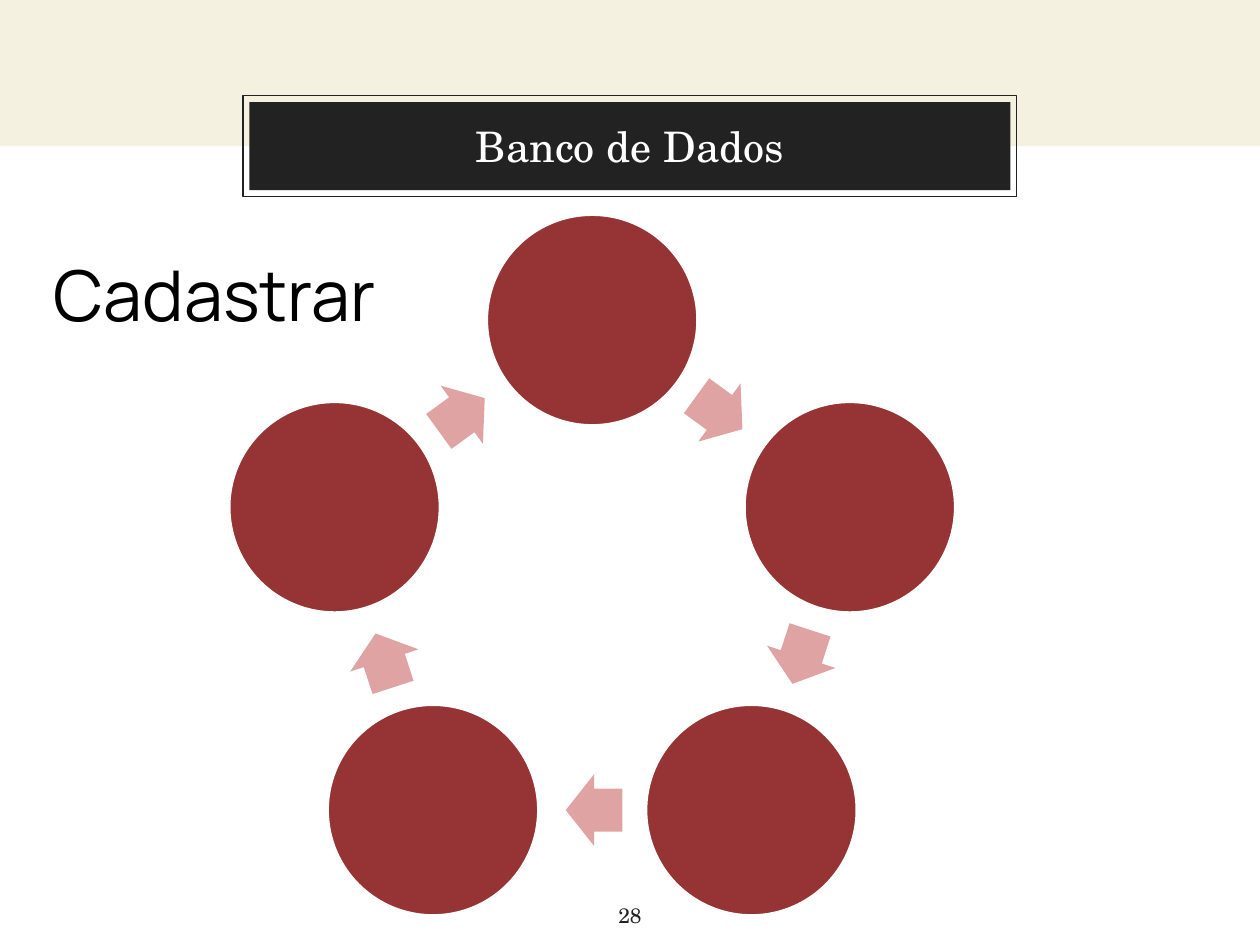
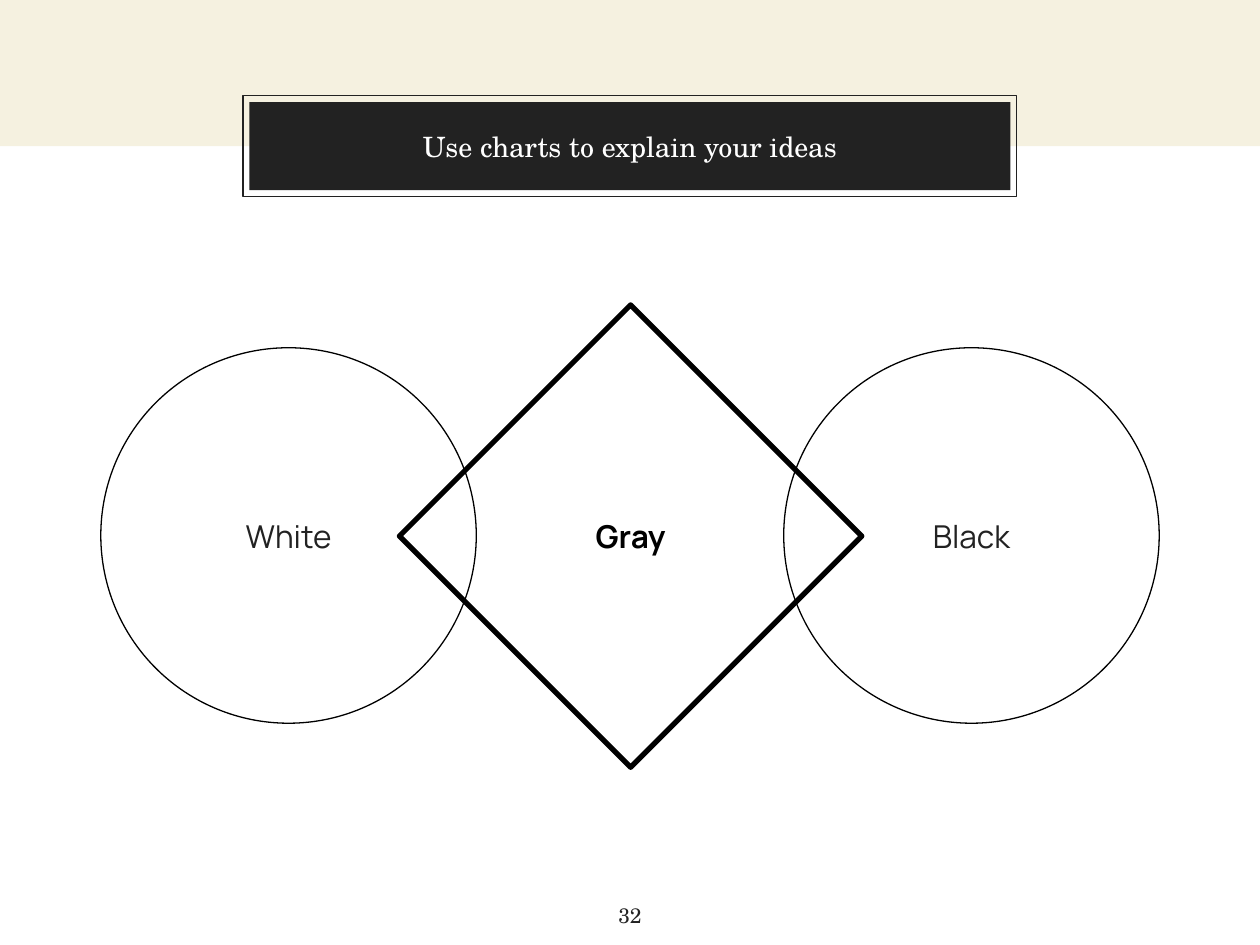
import math
from pptx import Presentation
from pptx.dml import color
from pptx.enum import shapes, text
from pptx.util import Pt

PX = 9144  # 100 px to the inch
INK, CREAM, WHITE, BLACK = "222222", "F5F1E0", "FFFFFF", "000000"
RED, PINK = "963334", "E0A3A3"
SERIF, SANS = "TeX Gyre Schola", "Manrope"
KIND = shapes.MSO_SHAPE
tint = color.RGBColor.from_string


def draw(slide, kind, box, fill=None, line=None, width=0.75):
    """Add a preset shape; box is left, top, width, height in px."""
    shape = slide.shapes.add_shape(kind, *[round(v * PX) for v in box])
    shape.shadow.inherit = False
    if fill:
        shape.fill.solid()
        shape.fill.fore_color.rgb = tint(fill)
    else:
        shape.fill.background()
    if line:
        shape.line.color.rgb = tint(line)
        shape.line.width = Pt(width)
    else:
        shape.line.fill.background()
    return shape


def write(shape, words, size, hue=INK, face=SANS, bold=False, inset=(10, 10),
          align=text.PP_ALIGN.CENTER, anchor=text.MSO_ANCHOR.MIDDLE):
    frame = shape.text_frame
    frame.text = words
    frame.word_wrap = True
    frame.auto_size = text.MSO_AUTO_SIZE.NONE
    frame.vertical_anchor = anchor
    frame.margin_left = frame.margin_right = inset[0] * PX
    frame.margin_top = frame.margin_bottom = inset[1] * PX
    line = frame.paragraphs[0]
    line.alignment = align
    font = line.runs[0].font
    font.name, font.size, font.bold = face, Pt(size), bold
    font.color.rgb = tint(hue)


deck = Presentation()
deck.slide_width, deck.slide_height = 1000 * PX, 750 * PX

# Band, framed title and page number on each slide
pages = []
for words, size, number in [("Banco de Dados", 24, "28"),
                            ("Use charts to explain your ideas", 16, "32")]:
    slide = deck.slides.add_slide(deck.slide_layouts[5])
    draw(slide, KIND.RECTANGLE, (0, 0, 1000, 116), fill=CREAM)
    draw(slide, KIND.RECTANGLE, (193, 76, 614, 80), line=INK)

    title = slide.shapes.title
    title.left, title.top, title.width, title.height = [
        v * PX for v in (198, 81, 604, 70)]
    title.fill.solid()
    title.fill.fore_color.rgb = tint(INK)
    write(title, words, size, WHITE, SERIF)
    slide.shapes._spTree.append(title._element)  # above the band

    foot = slide.shapes.add_textbox(*[v * PX for v in (470, 706, 60, 44)])
    write(foot, number, 12, face=SERIF, anchor=text.MSO_ANCHOR.TOP)
    pages.append(slide)

cycle, venn = pages

# Ring of five steps, with an arrow midway between neighbours
COUNT, DISC, RADIUS, MIDX, MIDY = 5, 168, 215, 470, 469
LONG, TALL, BACK = 45, 57, 1.5
STEP = 360 / COUNT
spots = []
for i in range(COUNT):
    turn = math.radians(i * STEP)
    spots.append((MIDX + RADIUS * math.sin(turn),
                  MIDY - RADIUS * math.cos(turn)))

for i, (x, y) in enumerate(spots):
    draw(cycle, KIND.OVAL, (x - DISC / 2, y - DISC / 2, DISC, DISC),
         fill=RED, line=WHITE, width=2)
    nextx, nexty = spots[(i + 1) % COUNT]
    angle = (i + 0.5) * STEP
    midx = (x + nextx) / 2 - BACK * math.cos(math.radians(angle))
    midy = (y + nexty) / 2 - BACK * math.sin(math.radians(angle))
    arrow = draw(cycle, KIND.RIGHT_ARROW,
                 (midx - LONG / 2, midy - TALL / 2, LONG, TALL), fill=PINK)
    arrow.adjustments[0], arrow.adjustments[1] = 0.6, 0.5
    arrow.rotation = angle

label = cycle.shapes.add_textbox(*[v * PX for v in (33, 195, 305, 77)])
write(label, "Cadastrar", 40, BLACK, inset=(10, 5),
      align=text.PP_ALIGN.LEFT, anchor=text.MSO_ANCHOR.TOP)

# Two circles overlapped by a diamond
for words, left in [("White", 80), ("Black", 622)]:
    disc = draw(venn, KIND.OVAL, (left, 276, 298, 298), line=BLACK)
    write(disc, words, 18)
gem = draw(venn, KIND.DIAMOND, (317, 242, 367, 367), line=BLACK, width=3)
write(gem, "Gray", 18, BLACK, bold=True)

deck.save("out.pptx")
